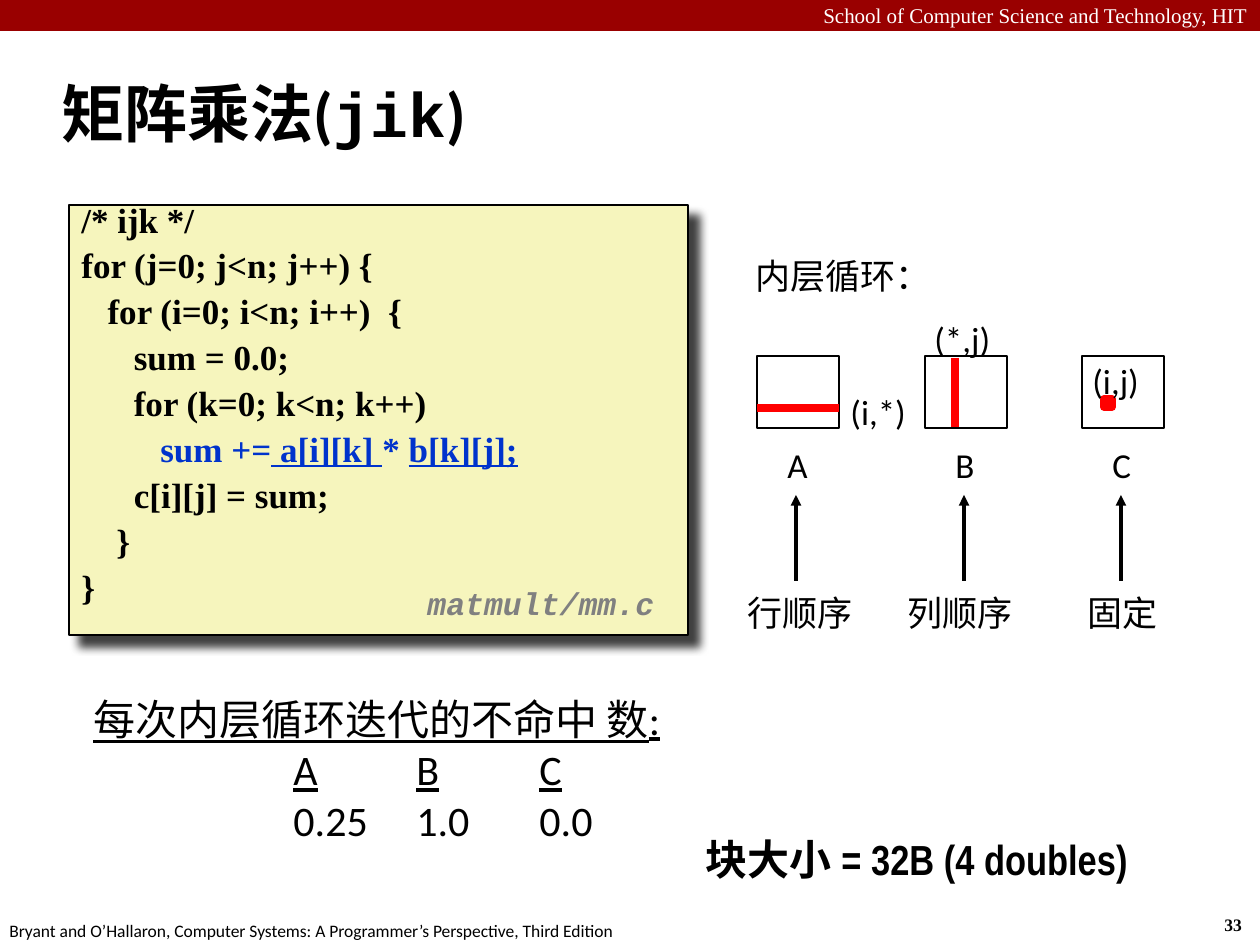
from dataclasses import dataclass

from lxml.etree import SubElement
from pptx import Presentation
from pptx.dml.color import RGBColor
from pptx.enum.shapes import MSO_CONNECTOR, MSO_SHAPE
from pptx.enum.text import MSO_ANCHOR, PP_ALIGN
from pptx.oxml.ns import qn
from pptx.util import Emu, Pt


@dataclass(frozen=True)
class Theme:
    black: str = "000000"
    white: str = "FFFFFF"
    banner: str = "990000"
    paper: str = "F6F5BD"
    highlight: str = "0033CC"
    grey: str = "808080"
    red: str = "FF0000"
    body: str = "Calibri"
    serif: str = "Times New Roman"
    mono: str = "Courier New"
    narrow: str = "Arial Narrow"
    title_size: int = 36
    large: int = 24
    medium: int = 20
    file_size: int = 18
    header_size: int = 12
    footer_size: int = 10


THEME = Theme()

# Content: a line is a string, or a list of (text, font overrides) runs
HEADER = "School of Computer Science and Technology, HIT"
FOOTER = "Bryant and O’Hallaron, Computer Systems: A Programmer’s Perspective, Third Edition"
PAGE_NUMBER = "33"
TITLE = [("矩阵乘法(", {}), ("jik", {"name": THEME.mono}), (")", {})]
BLUE = {"color": THEME.highlight}
BLUE_UNDERLINED = {"color": THEME.highlight, "underline": True}
CODE = [
    "/* ijk */",
    "for (j=0; j<n; j++) {",
    "   for (i=0; i<n; i++)  {",
    "      sum = 0.0;",
    "      for (k=0; k<n; k++)",
    [("         ", {}), ("sum +=", BLUE), (" a[i][k] ", BLUE_UNDERLINED),
     ("* ", BLUE), ("b[k][j];", BLUE_UNDERLINED)],
    "      c[i][j] = sum;",
    "    }",
    "}",
]
CODE_FILE = "matmult/mm.c"
LOOP_HEADING = "内层循环："
# name, left edge, access order, centre of the order caption
MATRICES = [("A", 757, "行顺序", 800), ("B", 925, "列顺序", 960), ("C", 1082, "固定", 1123)]
# index label, left, top, width
INDEX_LABELS = [("(i,*)", 838, 384, 81), ("(*,j)", 922, 311, 82), ("(i,j)", 1080, 353, 72)]
UNDERLINED = {"underline": True}
MISSES = [
    [("每次内层循环迭代的不命中 数:", UNDERLINED)],
    [("\t\t", {}), ("A", UNDERLINED), ("\t", {}), ("B", UNDERLINED),
     ("\t", {}), ("C", UNDERLINED)],
    "\t\t0.25\t1.0\t0.0",
]
BLOCK_SIZE = "块大小 = 32B (4 doubles)"

# Layout in px
SLIDE_WIDTH, SLIDE_HEIGHT = 1260, 945
MATRIX_TOP, MATRIX_WIDTH, MATRIX_HEIGHT = 356, 82, 72
ARROW_TOP, ARROW_BOTTOM = 495, 581
CAPTION_TOP, CAPTION_WIDTH = 591, 140
FIRST_TAB, TAB_STEP, TAB_COUNT = 77, 123, 4


def px(value):
    return Emu(round(value * 914400 / 126))


def set_font(font, name=None, size=None, color=None, bold=None, italic=None, underline=None):
    if name:
        font.name = name
    if size:
        font.size = Pt(size)
    if color:
        font.color.rgb = RGBColor.from_string(color)
    if bold is not None:
        font.bold = bold
    if italic is not None:
        font.italic = italic
    if underline is not None:
        font.underline = underline


def write(shape, lines, style, align=PP_ALIGN.LEFT, wrap=True, inset=True,
          anchor=MSO_ANCHOR.TOP, line_spacing=None, gap=0, tabs=()):
    frame = shape.text_frame
    frame.word_wrap = wrap
    frame.vertical_anchor = anchor
    frame.margin_left = frame.margin_right = Pt(7.2 if inset else 0)
    frame.margin_top = frame.margin_bottom = Pt(3.6 if inset else 0)
    for index, line in enumerate(lines):
        paragraph = frame.paragraphs[0] if index == 0 else frame.add_paragraph()
        paragraph.alignment = align
        if line_spacing:
            paragraph.line_spacing = line_spacing
        if index and gap:
            paragraph.space_before = Pt(gap)
        if tabs:
            tab_list = SubElement(paragraph._p.get_or_add_pPr(), qn("a:tabLst"))
            for position in tabs:
                SubElement(tab_list, qn("a:tab"), pos=str(px(position)), algn="l")
        set_font(paragraph.font, **style)
        for text, overrides in [(line, {})] if isinstance(line, str) else line:
            run = paragraph.add_run()
            run.text = text
            set_font(run.font, **overrides)


def add_text(slide, box, lines, style, **options):
    shape = slide.shapes.add_textbox(*map(px, box))
    write(shape, lines, style, **options)


def add_box(slide, box, fill, line=None, line_width=1):
    shape = slide.shapes.add_shape(MSO_SHAPE.RECTANGLE, *map(px, box))
    shape.shadow.inherit = False
    shape.fill.solid()
    shape.fill.fore_color.rgb = RGBColor.from_string(fill)
    if line:
        shape.line.color.rgb = RGBColor.from_string(line)
        shape.line.width = Pt(line_width)
    else:
        shape.line.fill.background()
    return shape


def add_line(slide, start, end, color, width, arrow=False):
    connector = slide.shapes.add_connector(MSO_CONNECTOR.STRAIGHT, *map(px, (*start, *end)))
    connector.line.color.rgb = RGBColor.from_string(color)
    connector.line.width = Pt(width)
    if arrow:
        SubElement(connector.line._get_or_add_ln(), qn("a:tailEnd"), type="triangle")
    SubElement(connector._element.spPr, qn("a:effectLst"))


def add_shadow(shape):
    effects = shape._element.spPr.find(qn("a:effectLst"))
    shadow = SubElement(effects, qn("a:outerShdw"), blurRad=str(Pt(5)), dist=str(Pt(8.5)),
                        dir="2700000", algn="tl", rotWithShape="0")
    color = SubElement(shadow, qn("a:srgbClr"), val=THEME.black)
    SubElement(color, qn("a:alpha"), val="75000")


def text_style(name, size, color=THEME.black, **extra):
    return {"name": name, "size": size, "color": color, **extra}


def main():
    presentation = Presentation()
    presentation.slide_width, presentation.slide_height = px(SLIDE_WIDTH), px(SLIDE_HEIGHT)
    slide = presentation.slides.add_slide(presentation.slide_layouts[6])
    label = text_style(THEME.body, THEME.medium)

    # Banner, footer and title
    add_box(slide, (0, 0, SLIDE_WIDTH, 31), THEME.banner)
    add_text(slide, (0, -4, SLIDE_WIDTH, 38), [HEADER],
             text_style(THEME.serif, THEME.header_size, THEME.white), align=PP_ALIGN.RIGHT)
    add_text(slide, (1212, 908, 47, 34), [PAGE_NUMBER],
             text_style(THEME.serif, THEME.footer_size, bold=True), wrap=False)
    add_text(slide, (-3, 914, 640, 34), [FOOTER],
             text_style(THEME.body, THEME.footer_size), wrap=False)
    add_text(slide, (49, 60, 1046, 105), [TITLE],
             text_style(THEME.body, THEME.title_size, bold=True), anchor=MSO_ANCHOR.MIDDLE)

    # Miss counts
    add_text(slide, (81, 687, 699, 168), MISSES, text_style(THEME.body, THEME.large),
             tabs=[FIRST_TAB + TAB_STEP * number for number in range(TAB_COUNT)])

    # Code panel
    panel = add_box(slide, (69, 205, 619, 430), THEME.paper, THEME.black)
    add_shadow(panel)
    write(panel, CODE, text_style(THEME.serif, THEME.medium, bold=True),
          line_spacing=0.65, gap=10.6)
    add_text(slide, (415, 581, 262, 49), [CODE_FILE],
             text_style(THEME.mono, THEME.file_size, THEME.grey, bold=True, italic=True),
             wrap=False, line_spacing=0.94)

    # Matrices with their access order
    add_text(slide, (743, 248, 202, 54), [LOOP_HEADING], label, wrap=False)
    for name, left, order, caption_centre in MATRICES:
        add_box(slide, (left, MATRIX_TOP, MATRIX_WIDTH, MATRIX_HEIGHT), THEME.white, THEME.black)
        add_text(slide, (left + 18, 437, 45, 54), [name], label, wrap=False)
        arrow_x = left + 39
        add_line(slide, (arrow_x, ARROW_BOTTOM), (arrow_x, ARROW_TOP), THEME.black, 2, arrow=True)
        add_text(slide, (caption_centre - CAPTION_WIDTH / 2, CAPTION_TOP, CAPTION_WIDTH, 43),
                 [order], label, align=PP_ALIGN.CENTER, inset=False)

    # Accessed row, column and element
    add_line(slide, (757, 408), (839, 408), THEME.red, 4.5)
    add_line(slide, (955, 358), (955, 427), THEME.red, 4.5)
    add_box(slide, (1104, 399, 8, 8), THEME.red, THEME.red, 4.5)
    for text, left, top, width in INDEX_LABELS:
        add_text(slide, (left, top, width, 54), [text], label, wrap=False)

    # Block size
    add_text(slide, (706, 834, 517, 53), [BLOCK_SIZE],
             text_style(THEME.narrow, THEME.large, bold=True), inset=False)

    presentation.save("out.pptx")


if __name__ == "__main__":
    main()
